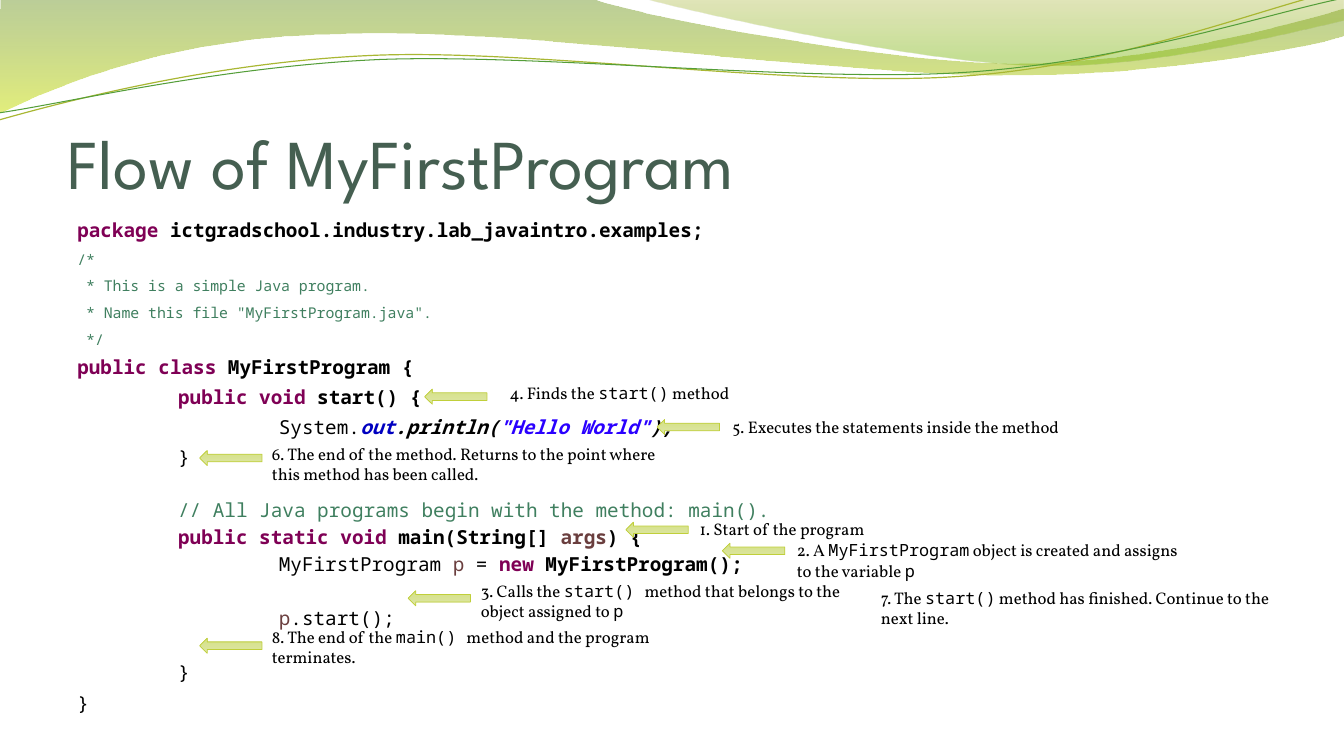
from lxml.etree import SubElement
from pptx import Presentation
from pptx.dml.color import RGBColor
from pptx.enum.shapes import MSO_SHAPE
from pptx.enum.text import MSO_ANCHOR, MSO_AUTO_SIZE, PP_ALIGN
from pptx.oxml.ns import qn
from pptx.util import Pt

# Code styles: colour, bold, italic
STYLES = {
    "plain": ("000000", False, False),
    "bold": ("000000", True, False),
    "key": ("7F0055", True, False),
    "note": ("3F7F5F", False, False),
    "name": ("6A3E3E", False, False),
    "arg": ("6A3E3E", True, False),
    "field": ("0000C0", True, True),
    "call": ("000000", True, True),
    "quote": ("2A00FF", True, True),
}

# Code lines: depth, gap above, size, runs
BIG, SMALL = 13.8, 10.6
CODE = [
    (0, 0, BIG, [("package ", "key"),
                 ("ictgradschool.industry.lab_javaintro.examples;", "bold")]),
    (0, 2, SMALL, [("/*", "note")]),
    (0, 2, SMALL, [(" * This is a simple Java program.", "note")]),
    (0, 2, SMALL, [(' * Name this file "MyFirstProgram.java".', "note")]),
    (0, 2, SMALL, [(" */", "note")]),
    (0, 4.6, BIG, [("public class ", "key"), ("MyFirstProgram {", "bold")]),
    (1, 4.4, BIG, [("public void", "key"), (" start() {", "bold")]),
    (2, 4.4, BIG, [("System.", "plain"), ("out", "field"), (".println(", "call"),
                   ('"Hello World"', "quote"), (");", "call")]),
    (1, 4.4, BIG, [("}", "plain")]),
    (1, 21, BIG, [("// All Java programs begin with the method: main().", "note")]),
    (1, 2.3, BIG, [("public static void", "key"), (" main(String[] ", "bold"),
                   ("args", "arg"), (") {", "bold")]),
    (2, 2.3, BIG, [("MyFirstProgram ", "plain"), ("p", "name"), (" = ", "plain"),
                   ("new ", "key"), ("MyFirstProgram();", "bold")]),
    (2, 21.6, BIG, [("p", "name"), (".start();", "plain")]),
    (1, 21.6, BIG, [("}", "plain")]),
    (0, 5, BIG, [("}", "plain")]),
]

# Step notes: left, top, text with code between backticks
STEPS = [
    (492.7, 366.8, "1. Start of the program"),
    (562.2, 382.3, "2. A `MyFirstProgram` object is created and assigns to the variable `p"),
    (336.4, 411.1, "3. Calls the `start() `method that belongs to the object assigned to `p"),
    (357, 269.6, "4. Finds the `start()` method"),
    (516.1, 293.8, "5. Executes the statements inside the method"),
    (187.2, 313.2, "6. The end of the method. Returns to the point where "
                   "this method has been called."),
    (622.2, 416.2, "7. The `start()` method has finished. Continue to the next line."),
    (187.2, 443.8, "8. The end of the `main() `method and the program terminates."),
]
ARROWS = [(447, 373), (516, 388), (291.5, 421.9), (303.3, 277.9),
          (469.3, 299.6), (142.6, 321.8), (142.6, 455.8)]

# Wave paths: a pair is a straight step, six numbers are a curve
BAND = [(0, 0), (422.6, -0.7), (456.5, 12.2, 636.5, 45.4, 727.9, 45.4),
        (818.6, 45.4, 919.4, 18.7, 959.8, 6.5), (960.5, 25.9),
        (944.6, 31.7, 834.5, 54.7, 715.7, 54), (596.9, 54, 366.5, 20.2, 247, 24.5),
        (123.1, 25.9, 43.9, 59.8, -1.4, 81.4), (0, 0)]
CREST = [(459.4, -0.7), (488.9, 7.9, 654.5, 44.6, 738, 46.8),
         (820.8, 49.7, 923, 23, 959.8, 15.1), (959.8, 0), (459.4, -0.7)]
GOLD = [(-0.7, 85.7), (45.4, 72.7, 151.2, 44.6, 265.7, 39.6),
        (379.4, 34.6, 568.1, 62.6, 683.3, 54.7), (799.2, 47.5, 900.7, 5.8, 957.6, -7.2)]
GREEN = [(-0.7, 80.6), (44.6, 74.2, 157, 47.5, 271.4, 42.5),
         (386.6, 38.2, 573.1, 59, 687.6, 51.8), (802.1, 44.6, 903.6, 10.1, 959.8, -1.4)]


def paint(text):
    return RGBColor.from_string(text)


class Deck:
    head, mono, serif = "League Spartan", "Noto Sans Mono", "Vollkorn"

    def __init__(self, wide, high):
        self.show = Presentation()
        self.show.slide_width, self.show.slide_height = Pt(wide), Pt(high)
        self.slide = self.show.slides.add_slide(self.show.slide_layouts[1])
        self.shapes = self.slide.shapes

    def place(self, shape, left, top, wide, high):
        shape.left, shape.top = Pt(left), Pt(top)
        shape.width, shape.height = Pt(wide), Pt(high)

    def style(self, run, face, size, tone="000000", bold=False, slant=False):
        font = run.font
        font.name, font.size, font.bold, font.italic = face, Pt(size), bold, slant
        font.color.rgb = paint(tone)

    def blend(self, shape, stops):
        """Fill from top to bottom; a stop is place, colour, opacity."""
        shape.fill.gradient()
        shape.fill.gradient_angle = 270
        for stop, (spot, tone, solid) in zip(shape.fill.gradient_stops, stops):
            stop.position = spot
            stop.color.rgb = paint(tone)
        marks = shape.fill._fill._gradFill.iter(qn("a:srgbClr"))
        for mark, (spot, tone, solid) in zip(marks, stops):
            if solid < 100:
                SubElement(mark, qn("a:alpha")).set("val", str(solid * 1000))

    def bend(self, shape, route):
        """Join the three straight steps of each curve into one Bezier step."""
        steps = iter(list(shape._element.iter(qn("a:lnTo"))))
        for part in route[1:]:
            first = next(steps)
            if len(part) == 6:
                first.tag = qn("a:cubicBezTo")
                for extra in (next(steps), next(steps)):
                    first.append(extra[0])
                    extra.getparent().remove(extra)

    def wave(self, route, stops=None, line=None):
        dots = [(Pt(part[i]), Pt(part[i + 1]))
                for part in route for i in range(0, len(part), 2)]
        form = self.shapes.build_freeform(*dots[0], scale=1.0)
        form.add_line_segments(dots[1:], close=stops is not None)
        shape = form.convert_to_shape()
        self.bend(shape, route)
        shape.shadow.inherit = False
        if stops:
            self.blend(shape, stops)
            shape.line.fill.background()
        else:
            shape.fill.background()
            shape.line.color.rgb, shape.line.width = paint(line[0]), Pt(line[1])

    def title(self, text, *box):
        shape = self.shapes.title
        self.place(shape, *box)
        frame = shape.text_frame
        frame.text = text
        frame.auto_size = MSO_AUTO_SIZE.NONE
        frame.vertical_anchor = MSO_ANCHOR.BOTTOM
        frame.margin_left = frame.margin_right = frame.margin_bottom = 0
        frame.paragraphs[0].alignment = PP_ALIGN.LEFT
        self.style(frame.paragraphs[0].runs[0], self.head, 50, "455F51")

    def code(self, lines, *box):
        shape = self.slide.placeholders[1]
        self.place(shape, *box)
        frame = shape.text_frame
        frame.auto_size = MSO_AUTO_SIZE.NONE
        for i, (depth, gap, size, parts) in enumerate(lines):
            para = frame.add_paragraph() if i else frame.paragraphs[0]
            para.line_spacing, para.space_before = Pt(17), Pt(gap)
            props = para._p.get_or_add_pPr()
            props.set("marL", str(Pt(72 * depth)))
            props.set("indent", "0")
            SubElement(props, qn("a:buNone"))
            for text, kind in parts:
                run = para.add_run()
                run.text = text
                self.style(run, self.mono, size, *STYLES[kind])

    def arrow(self, left, top):
        shape = self.shapes.add_shape(MSO_SHAPE.RIGHT_ARROW, Pt(left), Pt(top),
                                      Pt(44.6), Pt(10.8))
        shape.rotation = 180
        shape.shadow.inherit = False
        self.blend(shape, [(0, "DDE6A6", 100), (1, "D4E084", 100)])
        shape.line.color.rgb, shape.line.width = paint("C0CF3A"), Pt(0.5)

    def step(self, left, top, text):
        high = 36 if len(text) > 50 else 21.6
        frame = self.shapes.add_textbox(Pt(left), Pt(top), Pt(296), Pt(high)).text_frame
        frame.word_wrap = True
        frame.auto_size = MSO_AUTO_SIZE.SHAPE_TO_FIT_TEXT
        for i, part in enumerate(text.split("`")):
            run = frame.paragraphs[0].add_run()
            run.text = part
            self.style(run, self.mono if i % 2 else self.serif, 12)


def main():
    deck = Deck(960, 540)

    # Waves along the top
    deck.wave(BAND, stops=[(0, "69921C", 45), (1, "CCE10F", 55)])
    deck.wave(CREST, stops=[(0, "9BAA1A", 30), (0.8, "81BA16", 45)])
    deck.wave(GOLD, line=("A9B733", 0.85))
    deck.wave(GREEN, line=("549E39", 0.75))

    # Title and program
    deck.title("Flow of MyFirstProgram", 48, 55.4, 864, 90)
    deck.code(CODE, 48, 152, 864, 345.6)

    # Steps through the program
    for spot in ARROWS:
        deck.arrow(*spot)
    for note in STEPS:
        deck.step(*note)

    deck.show.save("out.pptx")


if __name__ == "__main__":
    main()
